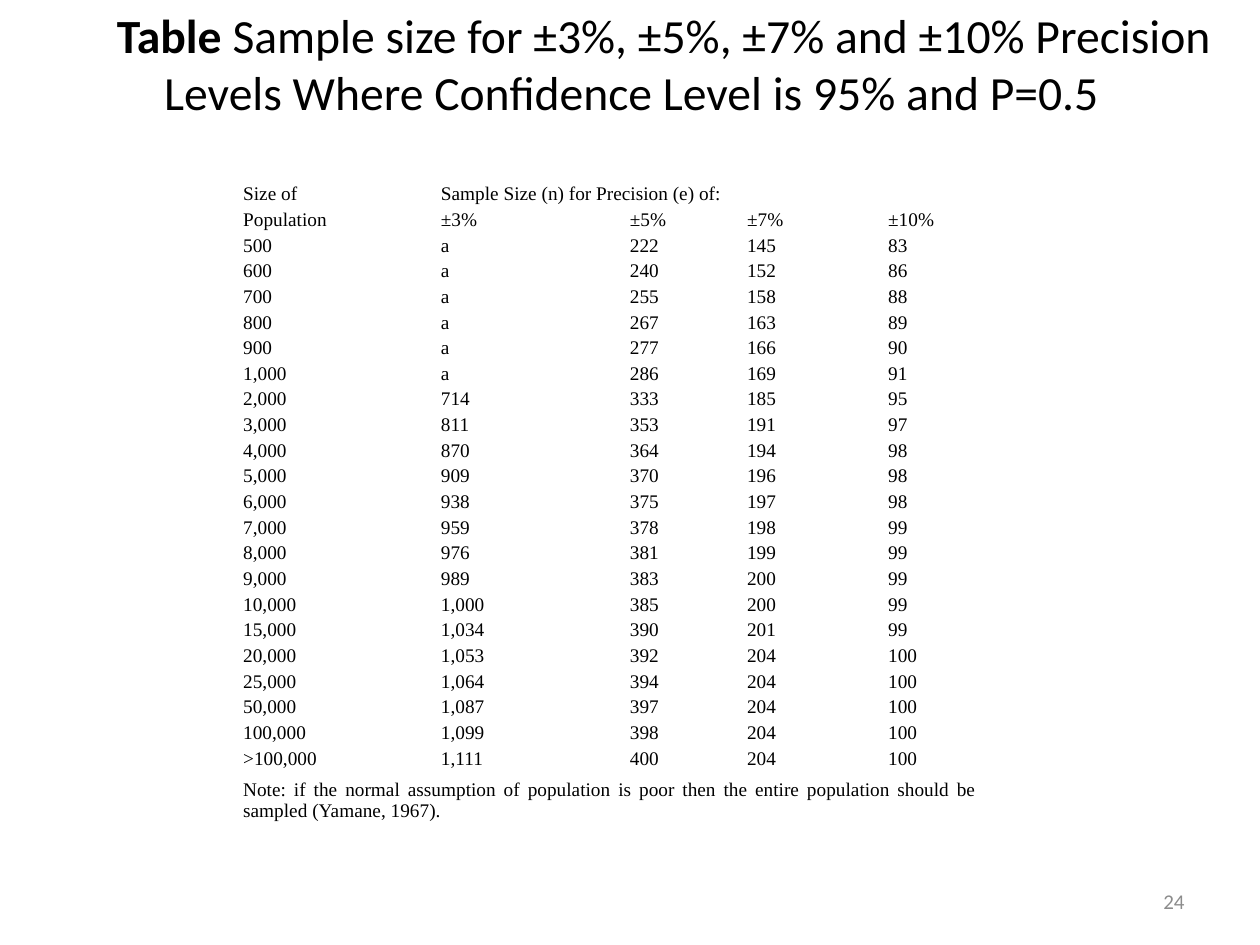
"""Build a slide with a table of sample sizes by population and precision level."""
from pptx import Presentation, util as u
from pptx.dml import color
from pptx.enum import text as t


def paint(target, shade):
    if hasattr(target, "solid"):
        target.solid()
        target = target.fore_color
    else:
        target = target.color
    target.rgb = color.RGBColor.from_string(shade)


def write(para, text, font="Calibri", size=12, shade="000000", bold=False, align=t.PP_ALIGN.LEFT):
    para.alignment = align
    span = para.add_run()
    span.text = text
    span.font.name, span.font.size, span.font.bold = font, u.Pt(size), bold
    paint(span.font, shade)


deck = Presentation()
deck.slide_width, deck.slide_height = u.Inches(10), u.Inches(7.5)
column, row = deck.slide_width // 100, deck.slide_height // 75
page = deck.slides.add_slide(deck.slide_layouts[6])
paint(page.background.fill, "FFFFFF")

title = page.shapes.add_textbox(int(8.3 * column), 0, 90 * column, 10 * row).text_frame
title.word_wrap = True
heading = title.paragraphs[0]
hang = int(3.75 * column)
layout = heading._p.get_or_add_pPr()
layout.set("marL", str(hang))
layout.set("indent", str(-hang))
write(heading, "Table ", size=27.2, bold=True)
write(heading, "Sample size for ±3%, ±5%, ±7% and ±10% Precision Levels "
      "Where Confidence Level is 95% and P=0.5", size=27.2)

sample_sizes = """Population ±3% ±5% ±7% ±10%
500 a 222 145 83
600 a 240 152 86
700 a 255 158 88
800 a 267 163 89
900 a 277 166 90
1,000 a 286 169 91
2,000 714 333 185 95
3,000 811 353 191 97
4,000 870 364 194 98
5,000 909 370 196 98
6,000 938 375 197 98
7,000 959 378 198 99
8,000 976 381 199 99
9,000 989 383 200 99
10,000 1,000 385 200 99
15,000 1,034 390 201 99
20,000 1,053 392 204 100
25,000 1,064 394 204 100
50,000 1,087 397 204 100
100,000 1,099 398 204 100
>100,000 1,111 400 204 100"""
note = ("Note: if the normal assumption of population is poor then the entire "
        "population should be sampled (Yamane, 1967).")
lines = [["Size of", "Sample Size (n) for Precision (e) of:"]]
lines += [line.split() for line in sample_sizes.splitlines()]
lines.append([note])
widths = [15.7, 15, 9.3, 11.2, 7.2]

holder = page.shapes.add_table(len(lines), len(widths), int(19.2 * column), int(14.4 * row),
                               int(sum(widths) * column), int(53.6 * row))
table = holder.table
table.first_row = table.horz_banding = False
for index, width in enumerate(widths):
    table.columns[index].width = int(width * column)
for index, values in enumerate(lines):
    table.rows[index].height = int((4.6 if values == [note] else 1.7) * row)
    for cell in table.rows[index].cells:
        paint(cell.fill, "FFFFFF")
        cell.vertical_anchor = t.MSO_ANCHOR.MIDDLE
        cell.margin_left = cell.margin_right = cell.margin_top = cell.margin_bottom = u.Inches(0.01)
        cell.text_frame.paragraphs[0].font.size = u.Pt(11)
    for place, value in enumerate(values):
        write(table.cell(index, place).text_frame.paragraphs[0], value,
              font="Times New Roman", size=11, align=t.PP_ALIGN.JUSTIFY)
    if len(values) < len(widths):
        table.cell(index, len(values) - 1).merge(table.cell(index, len(widths) - 1))
holder.height = int(53.6 * row)

number = page.shapes.add_textbox(int(71.7 * column), int(69.5 * row),
                                 int(23.3 * column), 4 * row).text_frame
number.word_wrap = True
number.vertical_anchor = t.MSO_ANCHOR.MIDDLE
write(number.paragraphs[0], "24", shade="8C8C8C", align=t.PP_ALIGN.RIGHT)

deck.save("out.pptx")
